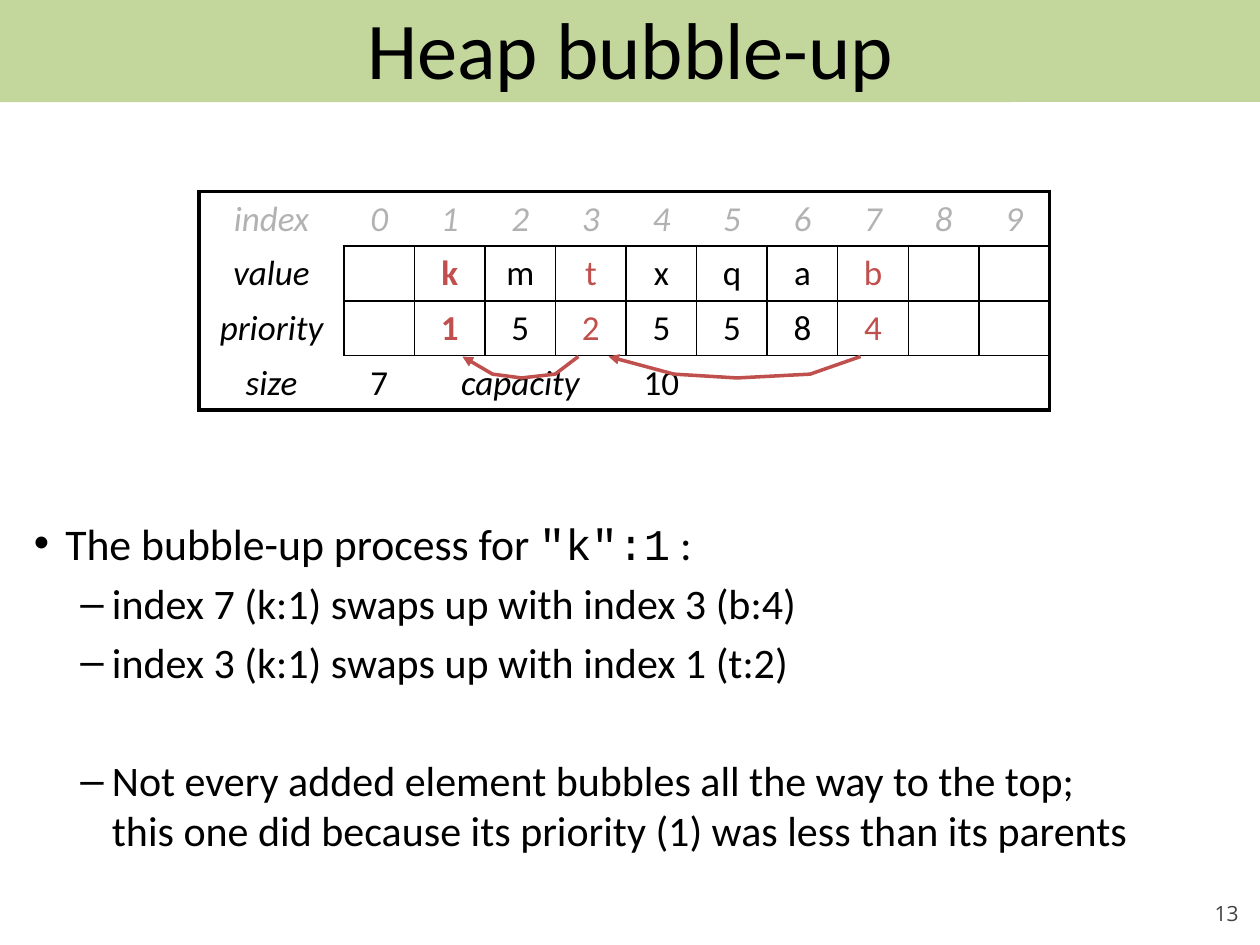
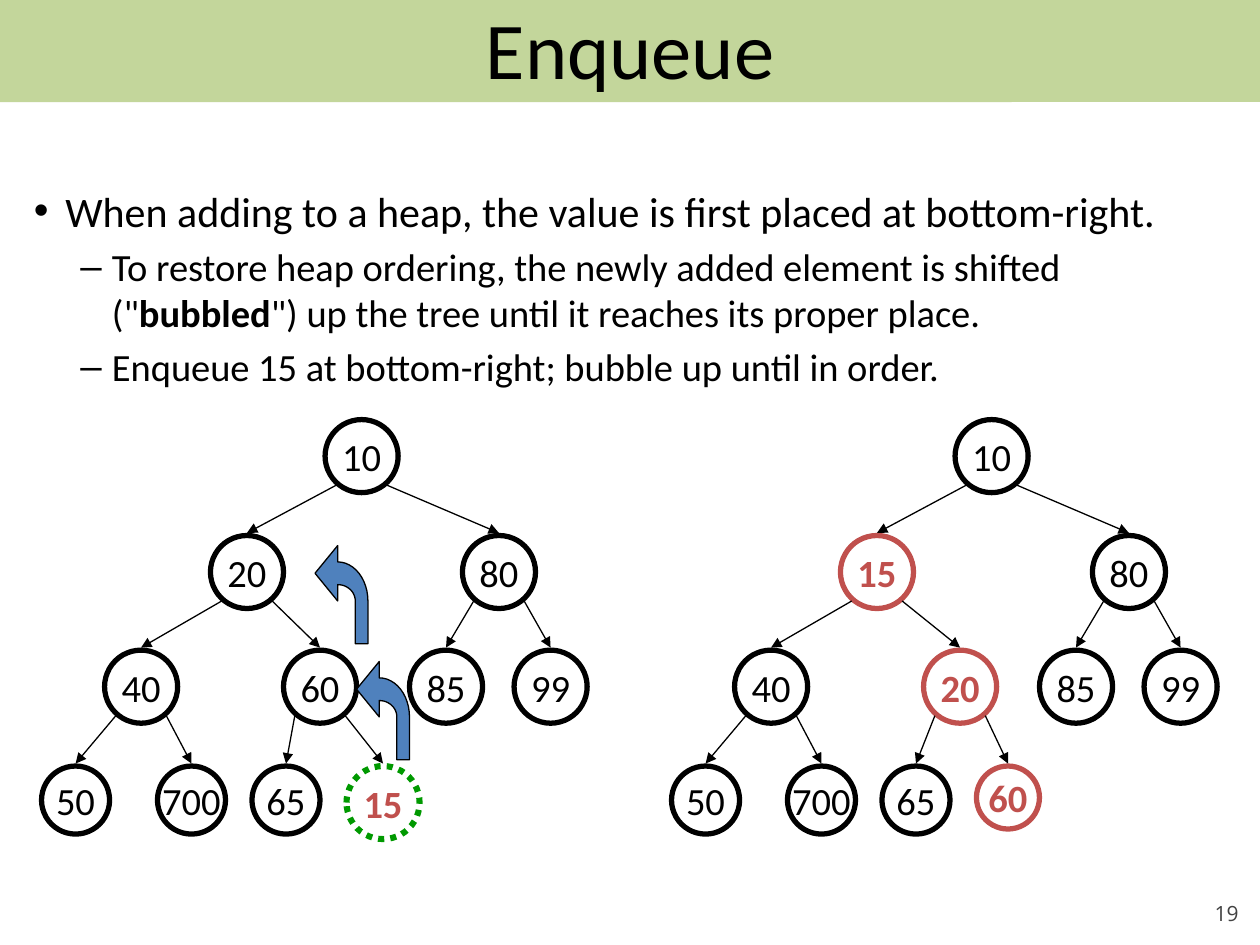
from math import cos, pi, sin

from pptx import Presentation
from pptx.dml.color import RGBColor
from pptx.enum.dml import MSO_LINE
from pptx.enum.shapes import MSO_CONNECTOR, MSO_SHAPE
from pptx.enum.text import MSO_ANCHOR as Anchor, PP_ALIGN as Align
from pptx.oxml.ns import qn
from pptx.util import Inches, Pt
from lxml.etree import SubElement

BLACK = RGBColor(0x00, 0x00, 0x00)
GREY = RGBColor(0x42, 0x42, 0x42)
PALE_GREY = RGBColor(0xB2, 0xB2, 0xB2)
BAND_GREEN = RGBColor(0xC3, 0xD6, 0x9B)
DOT_GREEN = RGBColor(0x00, 0x99, 0x00)
RED = RGBColor(0xC0, 0x50, 0x4D)
BLUE = RGBColor(0x4F, 0x81, 0xBD)

BODY_FONT, CODE_FONT, NUMBER_FONT = "Calibri", "Courier New", "Open Sans"
BODY_BOX = (0.17, 1.42, 9.67, 5.67)


def style(span, size, color=BLACK, name=BODY_FONT, bold=False, italic=False):
    """Format the font of one run."""
    font = span.font
    font.size, font.name, font.bold, font.italic = Pt(size), name, bold, italic
    font.color.rgb = color


def outline(shape, color, width, fill=None):
    """Give a shape its line and its fill, without shadow."""
    shape.shadow.inherit = False
    shape.line.color.rgb = color
    shape.line.width = Pt(width)
    if fill is None:
        shape.fill.background()
    else:
        shape.fill.solid()
        shape.fill.fore_color.rgb = fill


def add_arrowhead(shape):
    """Put a triangle at the end of a line."""
    line = shape._element.spPr.find(qn("a:ln"))
    SubElement(line, qn("a:tailEnd"), type="triangle")


def add_text(page, box, text, size, align, anchor, **look):
    """Add a one-line text box and return its frame."""
    frame = page.shapes.add_textbox(*map(Inches, box)).text_frame
    frame.word_wrap = True
    frame.vertical_anchor = anchor
    para = frame.paragraphs[0]
    para.text = text
    para.alignment = align
    style(para.runs[0], size, **look)
    return frame


def add_page(deck, title, number):
    """Add a blank slide with title band, title and slide number."""
    page = deck.slides.add_slide(deck.slide_layouts[6])
    frame = add_text(page, (9, 6.95, 0.83, 0.4), str(number), 12, Align.RIGHT,
                     Anchor.BOTTOM, color=GREY, name=NUMBER_FONT)
    frame.margin_left = frame.margin_right = 0
    frame.margin_top = frame.margin_bottom = 0
    band = page.shapes.add_shape(MSO_SHAPE.ROUNDED_RECTANGLE,
                                 *map(Inches, (0, 0, 10, 0.81)))
    band.adjustments[0] = 0.001
    outline(band, BAND_GREEN, 1, BAND_GREEN)
    band.line.fill.background()
    add_text(page, (0.5, 0, 9, 0.75), title, 46, Align.CENTER, Anchor.MIDDLE)
    return page


def add_bullets(page, box, items, sizes, top=0.05):
    """Write bullets given as (level, extra gap in points, parts).

    A part is a text and its run options; sizes holds one size a level.
    """
    frame = page.shapes.add_textbox(*map(Inches, box)).text_frame
    frame.word_wrap = True
    frame.margin_top = Inches(top)
    for number, (level, gap, parts) in enumerate(items):
        para = frame.add_paragraph() if number else frame.paragraphs[0]
        size = sizes[level]
        para.level = level
        para.space_before = Pt(0.2 * size + gap)
        props = para._p.get_or_add_pPr()
        props.set("marL", str(Inches((0.25, 0.62)[level])))
        props.set("indent", str(Inches(-0.25)))
        SubElement(props, qn("a:buFont"), typeface="Arial")
        SubElement(props, qn("a:buChar"), char="•–"[level])
        for index, (text, look) in enumerate(parts):
            if index:
                para.add_run().text = text
                style(para.runs[-1], size, **look)
            else:
                para.text = text
                for span in para.runs:
                    style(span, size, **look)


def edge_width(row, col, row_step, col_step):
    """Return the width of a cell's edge: frame, array grid or none."""
    next_row, next_col = row + row_step, col + col_step
    if not (0 <= next_row < 4 and 0 <= next_col < 11):
        return 2.25
    in_grid = any(r in (1, 2) and c > 0
                  for r, c in ((row, col), (next_row, next_col)))
    return 1 if in_grid else 0


def set_borders(cell, row, col):
    """Draw the four edges of a table cell."""
    props = cell._tc.get_or_add_tcPr()
    for side, step in (("L", (0, -1)), ("R", (0, 1)),
                       ("T", (-1, 0)), ("B", (1, 0))):
        width = edge_width(row, col, *step)
        line = SubElement(props, qn("a:ln" + side), w=str(Pt(width)))
        if width:
            fill = SubElement(line, qn("a:solidFill"))
            SubElement(fill, qn("a:srgbClr"), val=str(BLACK))
        else:
            SubElement(line, qn("a:noFill"))


def add_heap_table(page, box, rows, swapped):
    """Add the array table; swapped columns are red and the first is bold."""
    left, top, width, height = map(Inches, box)
    table = page.shapes.add_table(4, 11, left, top, width, height).table
    table.first_row = table.horz_banding = False
    for col, column in enumerate(table.columns):
        column.width = Inches(0.56 if col else 1.15)
    for row, texts in enumerate(rows):
        for col, text in enumerate(texts):
            cell = table.cell(row, col)
            set_borders(cell, row, col)
            cell.fill.background()
            para = cell.text_frame.paragraphs[0]
            para.text = text
            para.alignment = Align.CENTER
            para.space_before = Pt(4)
            marked = row in (1, 2) and col - 1 in swapped
            color = PALE_GREY if row == 0 else RED if marked else BLACK
            for span in para.runs:
                style(span, 20, color, bold=marked and col - 1 == swapped[0],
                      italic=row == 0 or col == 0 or text == "capacity")
            if not text:
                para.font.size = Pt(20)
    table.cell(3, 2).merge(table.cell(3, 4))


def add_swap_arrow(page, left, top, width):
    """Draw a shallow bow from right to left, with an arrowhead."""
    bow = ((1, 0), (0.8, 0.14), (0.51, 0.17), (0.26, 0.14), (0, 0))
    points = [(Inches(left + part * width), Inches(top + drop))
              for part, drop in bow]
    builder = page.shapes.build_freeform(*points[0])
    builder.add_line_segments(points[1:], close=False)
    arrow = builder.convert_to_shape()
    outline(arrow, RED, 2)
    add_arrowhead(arrow)


def add_bubble_arrow(page, left, top):
    """Draw a block arrow that goes up and bends to the left."""
    turn = [step * pi / 24 for step in range(13)]
    outer = [(0.18 + 0.24 * sin(a), 0.44 - 0.31 * cos(a)) for a in turn]
    inner = [(0.18 + 0.14 * cos(a), 0.44 - 0.13 * sin(a)) for a in turn]
    path = [(0, 0.22), (0.18, 0), *outer, (0.42, 0.78), (0.32, 0.78),
            *inner, (0.18, 0.44)]
    points = [(Inches(left + x), Inches(top + y)) for x, y in path]
    builder = page.shapes.build_freeform(*points[0])
    builder.add_line_segments(points[1:], close=True)
    outline(builder.convert_to_shape(), BLACK, 0.75, BLUE)


def add_node(page, box, label, color, line_color, dotted):
    """Add one round tree node."""
    node = page.shapes.add_shape(MSO_SHAPE.OVAL, *map(Inches, box))
    outline(node, line_color, 3.5 if dotted else 3)
    if dotted:
        node.line.dash_style = MSO_LINE.ROUND_DOT
    frame = node.text_frame
    frame.word_wrap = False
    frame.vertical_anchor = Anchor.MIDDLE
    para = frame.paragraphs[0]
    para.text = str(label)
    para.alignment = Align.CENTER
    style(para.runs[0], 22, color, bold=color == RED)


def add_tree(page, left, top, labels, red, moved, last_size, dotted=()):
    """Draw a heap; node n has the children 2n and 2n + 1.

    red and dotted hold node numbers, moved is the offset of node 5.
    """
    offsets = (2.25, 1.34, 3.34, 0.5, moved, 2.92, 3.75, 0, 0.92, 1.67, 2.42)
    boxes = {}
    for n, (label, offset) in enumerate(zip(labels, offsets), start=1):
        size = last_size if n == 11 else 0.54 if n > 7 else 0.58
        level = n.bit_length() - 1
        x, y = left + offset, top + round(level * 2.75 / 3, 2)
        boxes[n] = (x, y, size, size)
        color = RED if n in red else BLACK
        line_color = DOT_GREEN if n in dotted else color
        add_node(page, boxes[n], label, color, line_color, n in dotted)
    for n in range(2, len(labels) + 1):
        parent_x, parent_y, parent_size, _ = boxes[n // 2]
        x, y, size, _ = boxes[n]
        side = 0.2 if n % 2 else -0.2
        ends = (parent_x + parent_size / 2 + side, parent_y + 0.52,
                x + size / 2, y - 0.02)
        link = page.shapes.add_connector(MSO_CONNECTOR.STRAIGHT,
                                         *map(Inches, ends))
        link.line.color.rgb = BLACK
        link.line.width = Pt(0.75)
        add_arrowhead(link)
        SubElement(link._element.spPr, qn("a:effectLst"))


def build_bubble_up(deck):
    """Build the slide on bubbling up in the array."""
    page = add_page(deck, "Heap bubble-up", 13)
    plain = {}
    add_bullets(page, BODY_BOX, [
        (0, 0, [("The bubble-up process for ", plain),
                ('"k":1', {"name": CODE_FONT}), (" :", plain)]),
        (1, 0, [("index 7 (k:1) swaps up with index 3 (b:4)", plain)]),
        (1, 0, [("index 3 (k:1) swaps up with index 1 (t:2)", plain)]),
        (1, 34, [("Not every added element bubbles all the way to the top;\n"
                  "this one did because its priority (1) was less than its "
                  "parents", plain)]),
    ], sizes=(25, 24), top=2.68)
    add_heap_table(page, (1.58, 1.52, 6.75, 1.73), [
        ["index", *"0123456789"],
        ["value", "", *"kmtxqab", "", ""],
        ["priority", "", *"1525584", "", ""],
        ["size", "7", "capacity", "", "", "10", "", "", "", "", ""],
    ], swapped=(1, 3, 7))
    add_swap_arrow(page, 4.83, 2.83, 2)
    add_swap_arrow(page, 3.67, 2.83, 0.92)


def build_enqueue(deck):
    """Build the slide with the heap before and after bubbling up."""
    page = add_page(deck, "Enqueue", 19)
    plain = {}
    add_bullets(page, BODY_BOX, [
        (0, 0, [("When adding to a heap, the value is first placed at "
                 "bottom-right.", plain)]),
        (1, 0, [('To restore heap ordering, the newly added element is '
                 'shifted ("', plain), ("bubbled", {"bold": True}),
                ('") up the tree until it reaches its proper place.', plain)]),
        (1, 0, [("Enqueue 15 at bottom-right; bubble up until in order.",
                 plain)]),
    ], sizes=(24, 22))
    add_tree(page, 0.33, 3.33, (10, 20, 80, 40, 60, 85, 99, 50, 700, 65, 15),
             red=(11,), moved=1.92, last_size=0.58, dotted=(11,))
    add_bubble_arrow(page, 2.83, 5.25)
    add_bubble_arrow(page, 2.5, 4.33)
    add_tree(page, 5.33, 3.33, (10, 15, 80, 40, 20, 85, 99, 50, 700, 65, 60),
             red=(2, 5, 11), moved=2, last_size=0.5)


deck = Presentation()
deck.slide_width, deck.slide_height = Inches(10), Inches(7.5)
build_bubble_up(deck)
build_enqueue(deck)
deck.save("out.pptx")
